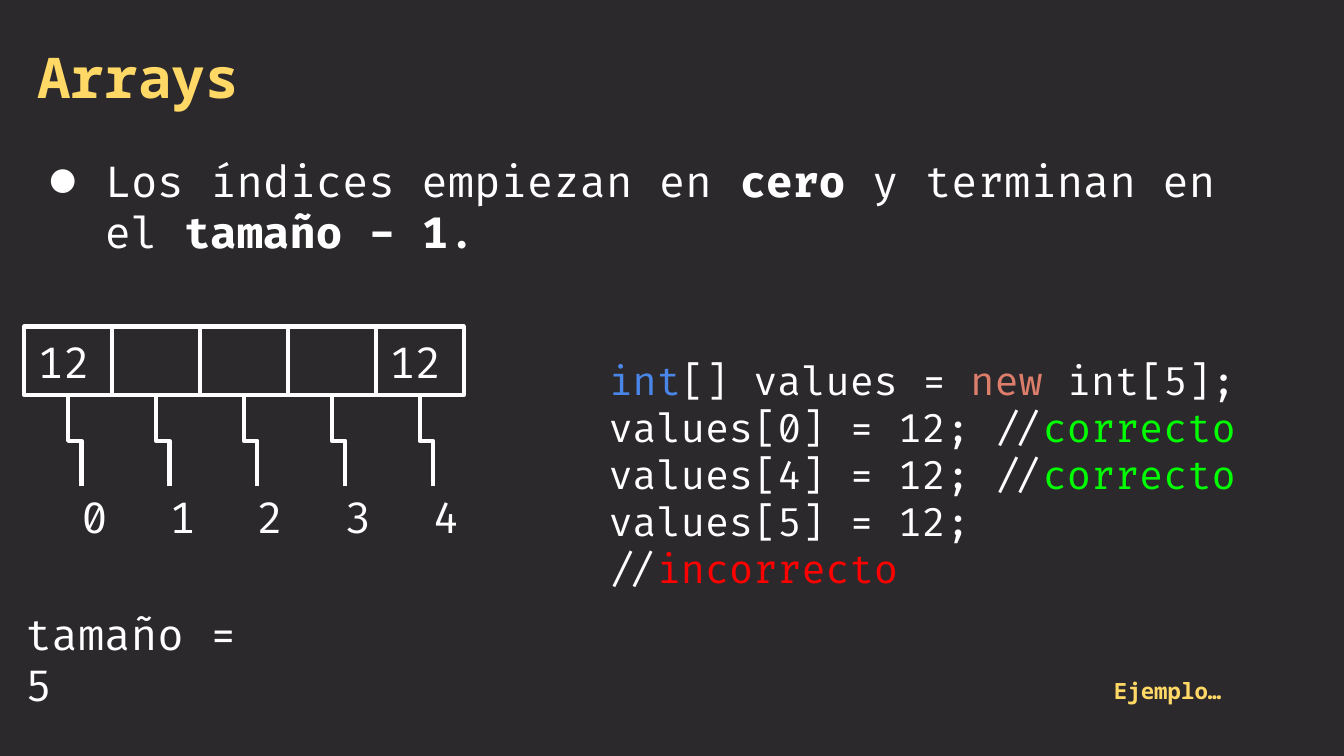
import pptx
import pptx.util
import pptx.dml.color
import pptx.enum.shapes
import pptx.enum.text
import lxml.etree

THEME = {
    "back": "2C292D", "gold": "FFD866", "white": "FFFFFF", "blue": "4A86E8",
    "rose": "DD7E6B", "green": "00FF00", "red": "FF0000",
    "head": "Noto Sans Mono", "body": "Fira Code",
    "title": 30, "text": 23, "code": 21, "note": 12, "line": 2.25,
}

# Each paragraph is a list of runs: (text, colour, bold)
TITLE = [[("Arrays", "gold", True)]]
NOTE = [[("Ejemplo…", "gold", True)]]
RULE = [[("Los índices empiezan en ", "white", False), ("cero", "white", True),
         (" y terminan en el ", "white", False), ("tamaño - 1", "white", True),
         (".", "white", False)]]
CODE = [
    [("int", "blue", False), ("[] values = ", "white", False),
     ("new", "rose", False), (" int[5];", "white", False)],
    [("values[0] = 12; //", "white", False), ("correcto", "green", False)],
    [("values[4] = 12; //", "white", False), ("correcto", "green", False)],
    [("values[5] = 12; //", "white", False), ("incorrecto", "red", False)],
]
SIZE = [[("tamaño = 5", "white", False)]]
CELLS = ["12", "", "", "", "12"]

Inches, Pt = pptx.util.Inches, pptx.util.Pt
Anchor = pptx.enum.text.MSO_ANCHOR
A = "http://schemas.openxmlformats.org/drawingml/2006/main"

# Slide at 16:9, and the array grid, in inches
WIDE = 10
TALL = WIDE * 9 / 16
LEFT, TOP, HIGH = 0.18, 2.43, 0.51
STEP = 3.27 / len(CELLS)
BASE, DROP, JOG = TOP + HIGH, 0.68, 0.1


def color(name):
    return pptx.dml.color.RGBColor.from_string(THEME[name])


def fill(shape, paras, size, font="body", anchor=Anchor.TOP):
    """Write paragraphs of coloured runs into a shape."""
    frame = shape.text_frame
    frame.word_wrap = True
    frame.vertical_anchor = anchor
    frame.margin_left = frame.margin_right = Inches(0.1)
    frame.margin_top = frame.margin_bottom = Inches(0.1)
    for i, runs in enumerate(paras):
        para = frame.paragraphs[0] if i == 0 else frame.add_paragraph()
        para.alignment = pptx.enum.text.PP_ALIGN.LEFT
        para.font.size = Pt(THEME[size])
        para.font.name = THEME[font]
        for text, tint, bold in runs:
            run = para.add_run()
            run.text = text
            run.font.bold = bold
            run.font.color.rgb = color(tint)


def write(slide, box, paras, size, font="body", anchor=Anchor.TOP):
    shape = slide.shapes.add_textbox(*map(Inches, box))
    fill(shape, paras, size, font, anchor)
    return shape


def bullet(para):
    props = para._p.get_or_add_pPr()
    props.set("marL", str(Inches(0.5)))
    props.set("indent", str(-Inches(0.41)))
    tint = lxml.etree.Element(f"{{{A}}}buClr")
    lxml.etree.SubElement(tint, f"{{{A}}}srgbClr", val=THEME["white"])
    size = lxml.etree.Element(f"{{{A}}}buSzPts", val=str(THEME["text"] * 100))
    face = lxml.etree.Element(f"{{{A}}}buFont", typeface=THEME["body"])
    mark = lxml.etree.Element(f"{{{A}}}buChar", char="●")
    for i, part in enumerate((tint, size, face, mark)):
        props.insert(i, part)


def cell(slide, x, text):
    box = slide.shapes.add_shape(
        pptx.enum.shapes.MSO_SHAPE.RECTANGLE,
        *map(Inches, (x, TOP, STEP, HIGH)))
    box.shadow.inherit = False
    box.fill.background()
    box.line.color.rgb = color("white")
    box.line.width = Pt(THEME["line"])
    if text:
        fill(box, [[(text, "white", False)]], "text", anchor=Anchor.MIDDLE)


def elbow(slide, x):
    """Draw a connector going down, right and down from the cell's middle."""
    midx, midy = x + JOG / 2, BASE + DROP / 2
    ends = (midx - DROP / 2, midy - JOG / 2, midx + DROP / 2, midy + JOG / 2)
    link = slide.shapes.add_connector(
        pptx.enum.shapes.MSO_CONNECTOR.ELBOW, *map(Inches, ends))
    link.line.color.rgb = color("white")
    link.line.width = Pt(THEME["line"])
    props = link._element.spPr
    frame = props.find(f"{{{A}}}xfrm")
    frame.set("rot", str(270 * 60000))
    frame.set("flipH", "1")
    lxml.etree.SubElement(props, f"{{{A}}}effectLst")


def main():
    deck = pptx.Presentation()
    deck.slide_width, deck.slide_height = Inches(WIDE), Inches(TALL)
    slide = deck.slides.add_slide(deck.slide_layouts[6])
    slide.background.fill.solid()
    slide.background.fill.fore_color.rgb = color("back")

    write(slide, (LEFT, 0.22, 9.04, 0.73), TITLE, "title", "head")
    write(slide, (8.19, 4.94, 1.23, 0.44), NOTE, "note", "head")
    rule = write(slide, (LEFT, 1.05, 9.25, 0.93), RULE, "text")
    bullet(rule.text_frame.paragraphs[0])

    for i, text in enumerate(CELLS):
        x = LEFT + i * STEP
        mid = x + STEP / 2
        cell(slide, x, text)
        elbow(slide, mid)
        write(slide, (mid, BASE + DROP, STEP / 2, 0.44),
              [[(str(i), "white", False)]], "text", anchor=Anchor.MIDDLE)

    write(slide, (4.43, 2.41, 5.18, 2.23), CODE, "code", anchor=Anchor.MIDDLE)
    write(slide, (0.09, 4.42, 2.14, 0.51), SIZE, "text")
    deck.save("out.pptx")


if __name__ == "__main__":
    main()
